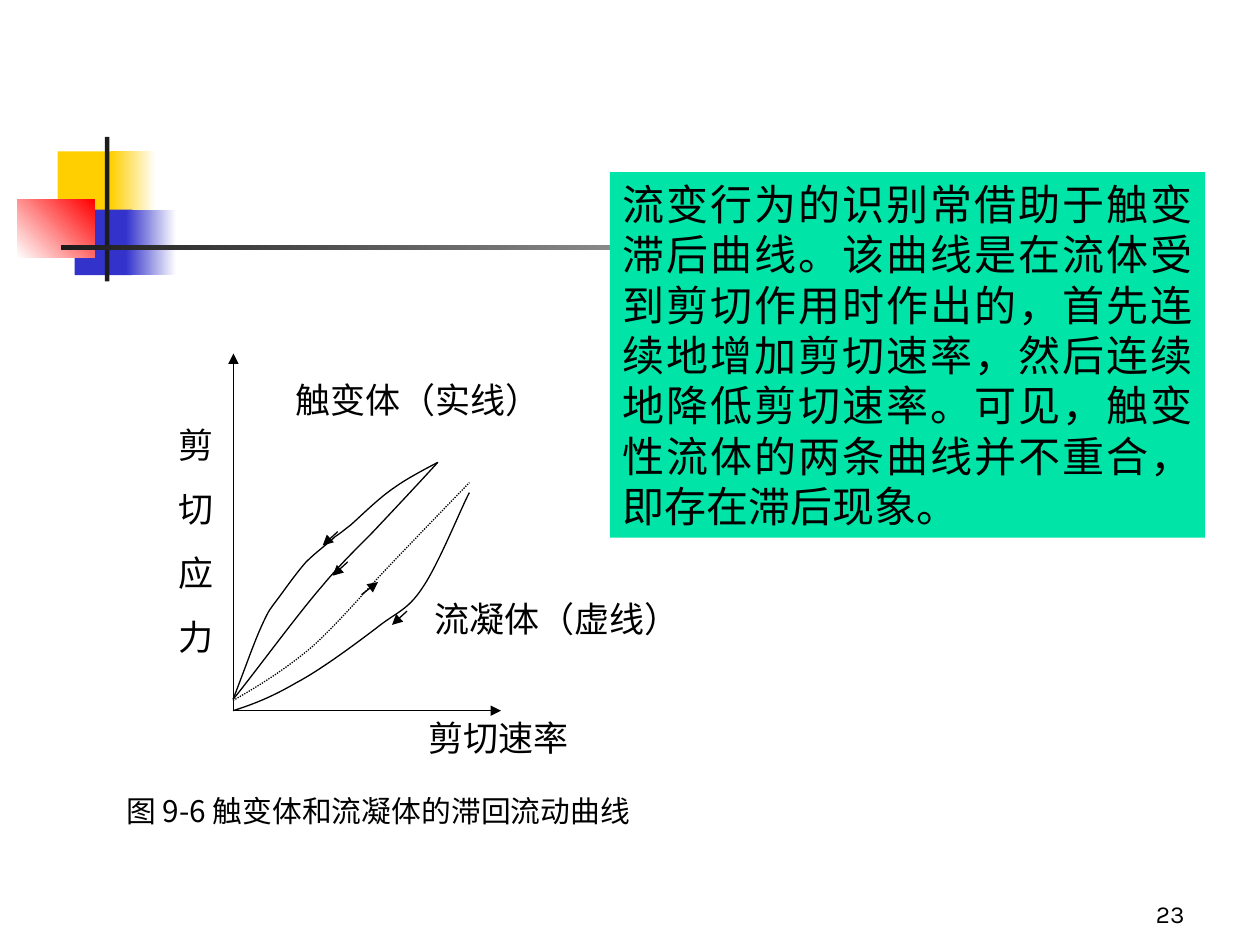
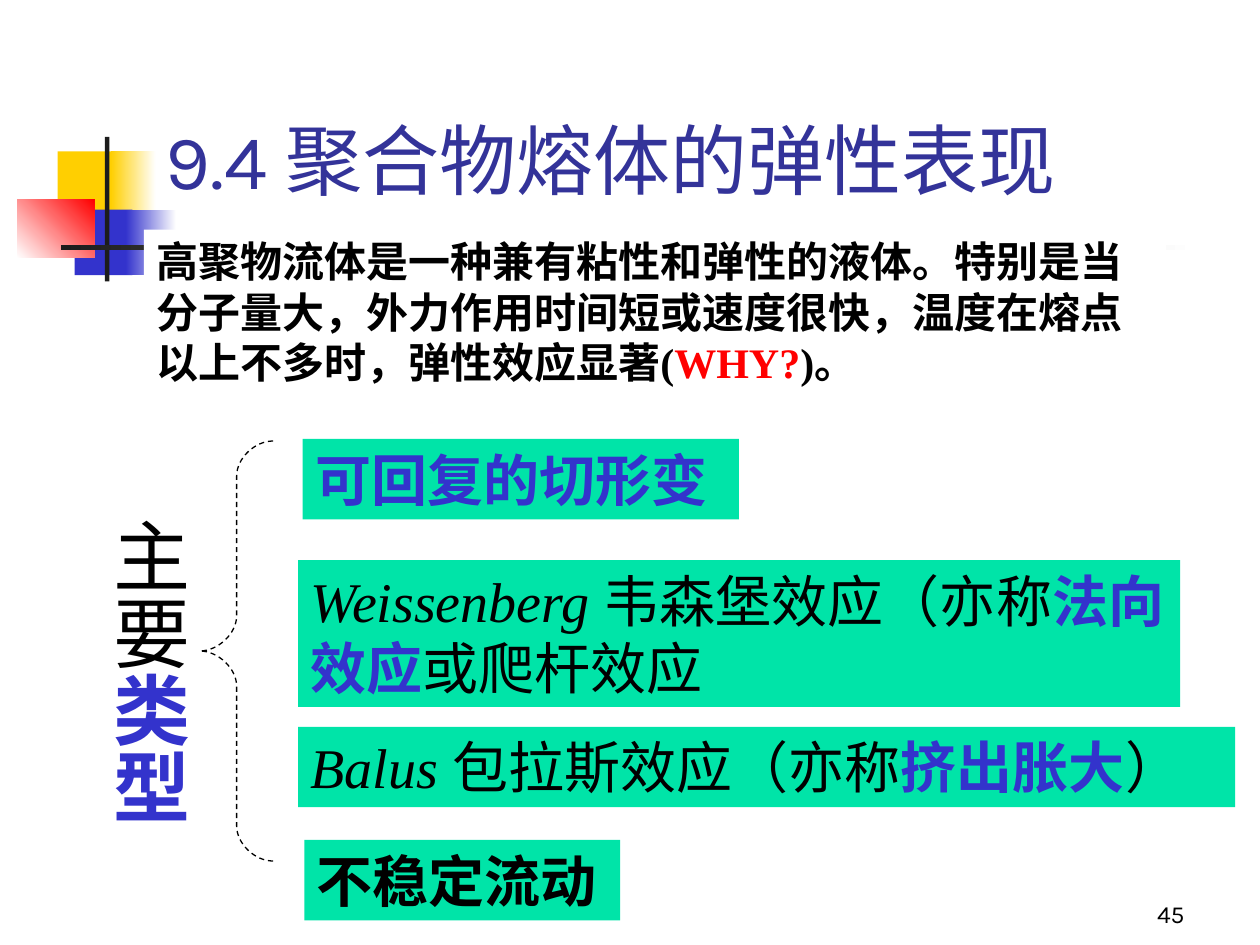
from lxml.etree import SubElement
from pptx import Presentation
from pptx.dml.color import RGBColor
from pptx.enum.dml import MSO_LINE
from pptx.enum.lang import MSO_LANGUAGE_ID
from pptx.enum.shapes import MSO_CONNECTOR, MSO_SHAPE
from pptx.enum.text import MSO_ANCHOR, PP_ALIGN
from pptx.oxml.ns import qn
from pptx.util import Pt

BLACK = RGBColor(0x00, 0x00, 0x00)
WHITE = RGBColor(0xFF, 0xFF, 0xFF)
RED = RGBColor(0xFF, 0x00, 0x00)
YELLOW = RGBColor(0xFF, 0xCF, 0x01)
BLUE = RGBColor(0x33, 0x33, 0xCC)
TITLE_BLUE = RGBColor(0x33, 0x33, 0x99)
CHARCOAL = RGBColor(0x1C, 0x1C, 0x1C)
GREEN = RGBColor(0x00, 0xE4, 0xA8)

SERIF, SANS, CJK = "Times New Roman", "Karla", "Noto Sans CJK SC"
LINE_WEIGHT = 0.75


class Deck:
    def __init__(self):
        self.prs = Presentation()
        self.prs.slide_width, self.prs.slide_height = Pt(720), Pt(540)

    def new_slide(self, number):
        self.shapes = self.prs.slides.add_slide(self.prs.slide_layouts[6]).shapes
        # Corner squares and rule
        self.rect((33, 86.5, 34.5, 37.5), YELLOW)
        self.rect((63.5, 86.5, 25.5, 37.5), YELLOW, WHITE)
        self.rect((42.7, 119.8, 33, 37.4), BLUE)
        self.rect((72, 119.8, 28.6, 37.4), BLUE, WHITE)
        self.rect((9.8, 114, 44.2, 33.2), WHITE, RED, angle=45)
        self.rect((60, 78.2, 2.5, 82.6), CHARCOAL)
        self.rect((34.8, 140.2, 648, 2.5), CHARCOAL, WHITE)
        # Page number
        self.text((534, 498, 150, 36), [[(number,)]], 14, font=SANS,
                  align=PP_ALIGN.RIGHT, anchor=MSO_ANCHOR.BOTTOM)

    def rect(self, box, color, end_color=None, angle=0):
        shape = self.shapes.add_shape(MSO_SHAPE.RECTANGLE, *map(Pt, box))
        shape.shadow.inherit = False
        shape.line.fill.background()
        if end_color is None:
            shape.fill.solid()
            shape.fill.fore_color.rgb = color
        else:
            shape.fill.gradient()
            shape.fill.gradient_angle = angle
            for stop, stop_color, place in zip(
                    shape.fill.gradient_stops, (color, end_color), (0, 1)):
                stop.color.rgb, stop.position = stop_color, place
        return shape

    def text(self, box, paragraphs, size, fill=None, font=SERIF,
             align=PP_ALIGN.LEFT, anchor=MSO_ANCHOR.TOP, wrap=True,
             line_spacing=None, space_before=0, vertical=False):
        """Each paragraph is a list of runs: (text, colour, bold, italic)."""
        if fill is None:
            shape = self.shapes.add_textbox(*map(Pt, box))
        else:
            shape = self.rect(box, fill)
        frame = shape.text_frame
        frame.word_wrap, frame.vertical_anchor = wrap, anchor
        side, end = (3.6, 7.2) if vertical else (7.2, 3.6)
        frame.margin_left = frame.margin_right = Pt(side)
        frame.margin_top = frame.margin_bottom = Pt(end)
        if vertical:
            frame._txBody.bodyPr.set("vert", "eaVert")
        for index, runs in enumerate(paragraphs):
            paragraph = frame.add_paragraph() if index else frame.paragraphs[0]
            paragraph.alignment = align
            paragraph.line_spacing = line_spacing
            if index:
                paragraph.space_before = Pt(space_before)
            for run_style in runs:
                self.run(paragraph, size, font, *run_style)

    def run(self, paragraph, size, font, words, color=BLACK, bold=False, italic=False):
        run = paragraph.add_run()
        run.text = words
        run.font.size, run.font.name = Pt(size), font
        run.font.bold, run.font.italic = bold, italic
        run.font.color.rgb = color
        run.font.language_id = MSO_LANGUAGE_ID.SIMPLIFIED_CHINESE
        SubElement(run.font._element, qn("a:ea")).set("typeface", CJK)

    def title(self, words):
        self.text((87.8, 60.5, 532.8, 60), [[(words, TITLE_BLUE)]], 44, font=SANS,
                  anchor=MSO_ANCHOR.BOTTOM)

    def outline(self, shape, dash=None):
        shape.line.color.rgb = BLACK
        shape.line.width = Pt(LINE_WEIGHT)
        if dash:
            shape.line.dash_style = dash

    def curve(self, knots, dash=None):
        """A chain of cubic curves: a start, then two controls and an end each."""
        points = [(Pt(x), Pt(y)) for x, y in knots]
        builder = self.shapes.build_freeform(*points[0])
        builder.add_line_segments(points[1:], close=False)
        shape = builder.convert_to_shape()
        # Join every three straight segments into one cubic curve
        outline = next(shape._element.iter(qn("a:path")))
        segments = outline.findall(qn("a:lnTo"))
        for first in range(0, len(segments), 3):
            cubic = SubElement(outline, qn("a:cubicBezTo"))
            for segment in segments[first:first + 3]:
                cubic.append(segment[0])
                outline.remove(segment)
        shape.shadow.inherit = False
        shape.fill.background()
        self.outline(shape, dash)

    def arrow(self, start, end):
        connector = self.shapes.add_connector(
            MSO_CONNECTOR.STRAIGHT, *map(Pt, start + end))
        self.outline(connector)
        SubElement(connector.line._get_or_add_ln(), qn("a:tailEnd")).set("type", "triangle")
        SubElement(connector._element.spPr, qn("a:effectLst"))


def hysteresis_slide(deck):
    deck.new_slide("23")
    deck.text((65, 451.6, 402.5, 28), [[("图 9-6 触变体和流凝体的滞回流动曲线",)]], 17,
              fill=WHITE, font=CJK, align=PP_ALIGN.JUSTIFY, line_spacing=0.9)

    # Flow curves
    rheopectic_down = [
        (133.2, 406.1), (144.7, 402.5), (155.5, 398.2), (169.2, 390.2),
        (182.9, 383), (202.3, 368.6), (214.6, 359.3),
        (226.1, 349.9), (232.6, 349.2), (241.2, 336.2),
        (250.6, 322.6), (263.5, 290.2), (268.2, 281.5)]
    thixotropic_down = [
        (250.2, 264.2), (239, 276.5), (228.2, 288), (216.7, 300.2),
        (205.9, 311.8), (197.3, 319), (183.6, 335.5),
        (169.2, 352.1), (141.8, 389.5), (133.2, 399.6)]
    rheopectic_up = [
        (133.2, 400.3), (148.3, 391.7), (163.4, 382.3), (178.6, 369.4),
        (193, 356.4), (208.1, 338.4), (223.2, 322.6),
        (238.3, 306.7), (260.6, 283.7), (268.2, 275.8)]
    thixotropic_up = [
        (133.2, 399.6), (139.7, 383), (145.4, 366.5), (149.8, 357.1),
        (154.1, 347.8), (154.1, 348.5), (158.4, 342.7),
        (162.7, 337), (169.2, 327.6), (175, 321.1),
        (180.7, 315.4), (187.9, 310.3), (191.5, 306.7),
        (195.8, 303.8), (194.4, 304.6), (200.2, 300.2),
        (205.9, 295.2), (216.7, 284.4), (225.4, 278.6),
        (233.3, 272.9), (246.2, 266.4), (250.2, 264.2)]
    for knots in (rheopectic_down, thixotropic_down, thixotropic_up):
        deck.curve(knots)
    deck.curve(rheopectic_up, MSO_LINE.ROUND_DOT)

    # Axes and direction marks
    origin = (133.4, 406.1)
    deck.arrow(origin, (133.4, 202))
    deck.arrow(origin, (286.3, 406.1))
    deck.arrow((206.6, 339.8), (216, 332.6))
    for x, y in ((232.6, 349.2), (193, 303.8), (198.7, 321.1)):
        deck.arrow((x, y), (x - 8.6, y + 7.9))

    # Explanation
    deck.text((348.5, 98.3, 340.2, 209), [[(
        "流变行为的识别常借助于触变滞后曲线。该曲线是在流体受到剪切作用时作出的，"
        "首先连续地增加剪切速率，然后连续地降低剪切速率。可见，触变性流体的两条曲线"
        "并不重合，即存在滞后现象。",)]], 24, fill=GREEN, align=PP_ALIGN.JUSTIFY)

    # Curve and axis labels
    for words, left, top, width in (("触变体（实线）", 161.5, 213, 155),
                                    ("流凝体（虚线）", 241, 337.7, 155),
                                    ("剪切速率", 237.5, 406.1, 94.5)):
        deck.text((left, top, width, 31.5), [[(words,)]], 20,
                  align=PP_ALIGN.CENTER, wrap=False)
    deck.text((95, 238.5, 32.5, 141), [[(letter,)] for letter in "剪切应力"], 20,
              align=PP_ALIGN.CENTER, space_before=12.5)


def elasticity_slide(deck):
    deck.new_slide("45")
    deck.title("9.4 聚合物熔体的弹性表现")
    deck.text((82.3, 131.2, 584, 93.5), [[
        ("高聚物流体是一种兼有粘性和弹性的液体。特别是当分子量大，外力作用时间短或"
         "速度很快，温度在熔点以上不多时，弹性效应显著(", BLACK, True),
        ("WHY?", RED, True), (")。", BLACK, True)]], 24, fill=WHITE)

    # Main types and their brace
    deck.text((48.3, 288.5, 67, 192), [[("主要",), ("类型", BLUE, True)]], 44,
              align=PP_ALIGN.CENTER, vertical=True)
    tip, stem, end, middle = 114.2, 135.2, 156, 372
    upper_half = [
        (end, 252), (145.5, 252), (stem, 262), (stem, 272),
        (stem, 272), (stem, 352), (stem, 352),
        (stem, 362), (124.6, middle), (tip, middle)]
    lower_half = [(x, 2 * middle - y) for x, y in reversed(upper_half)]
    deck.curve(upper_half + lower_half[1:], MSO_LINE.DASH)

    # Effects
    for box, runs in (
        ((170.4, 320, 504, 84), [
            ("Weissenberg ", BLACK, False, True), ("韦森堡效应（亦称",),
            ("法向效应", BLUE, True), ("或爬杆效应",)]),
        ((170.4, 415.3, 535.5, 46), [
            ("Balus ", BLACK, False, True), ("包拉斯效应（亦称",),
            ("挤出胀大", BLUE, True), ("）",)]),
        ((173, 250.8, 249.2, 46), [("可回复的切形变", BLUE, True)]),
        ((174, 480, 180.4, 46), [("不稳定流动", BLACK, True)]),
    ):
        deck.text(box, [runs], 32, fill=GREEN)


def main():
    deck = Deck()
    hysteresis_slide(deck)
    elasticity_slide(deck)
    deck.prs.save("out.pptx")


if __name__ == "__main__":
    main()
